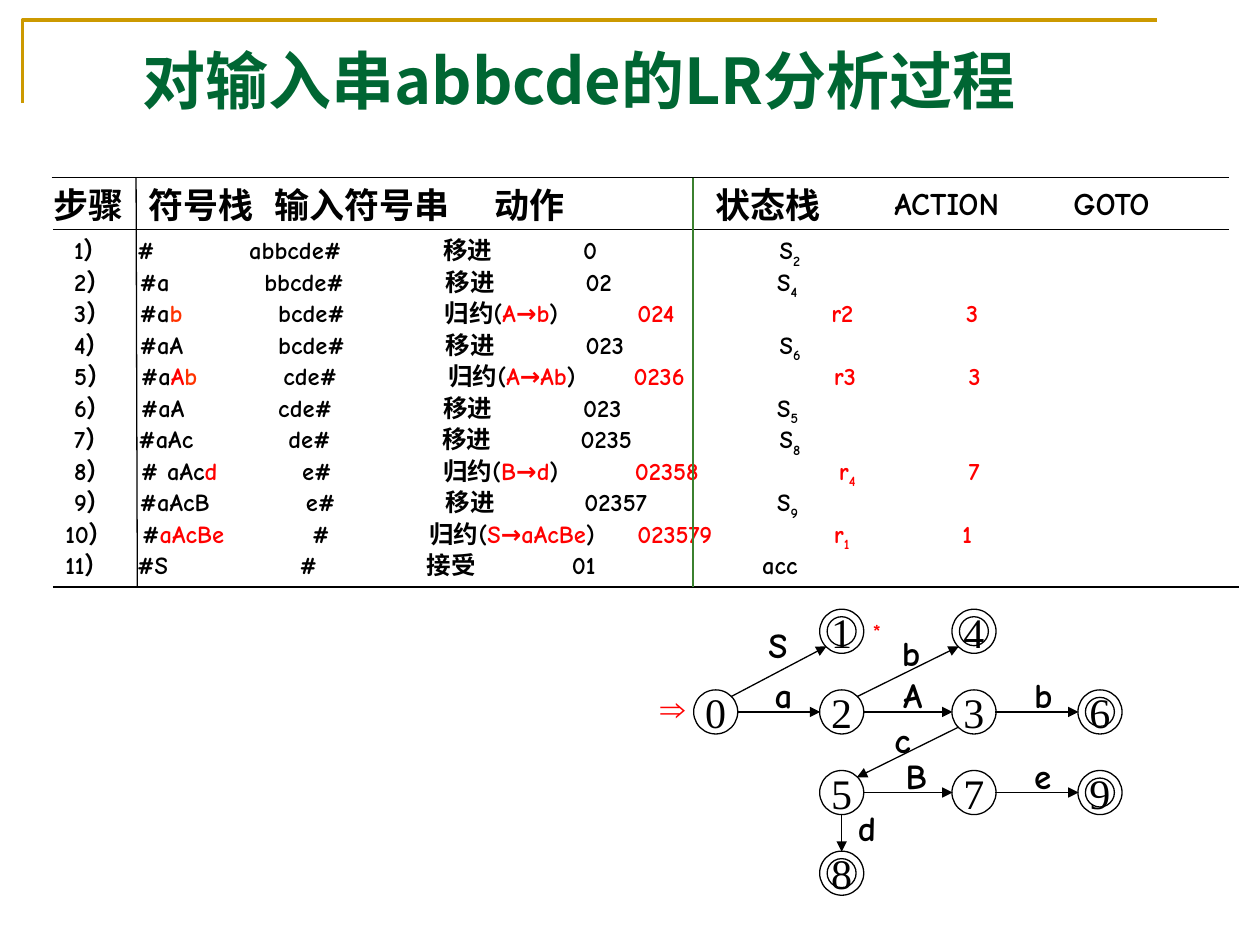
from lxml import etree
from pptx import Presentation
from pptx.dml.color import RGBColor
from pptx.enum.shapes import MSO_CONNECTOR, MSO_SHAPE
from pptx.enum.text import MSO_ANCHOR, MSO_AUTO_SIZE, PP_ALIGN
from pptx.oxml.ns import qn
from pptx.util import Inches, Pt

COLORS = {"black": "000000", "red": "FF0000", "orange": "FF3300",
          "title": "006633", "gold": "CC9900", "green": "3B812F"}
COMIC, TIMES, CJK = "Comic Neue", "Times New Roman", "Noto Sans CJK SC"


def write_runs(paragraph, runs, size, font, bold=True):
    """Write (text, colour[, "sub"]) runs into a paragraph."""
    for text, color, *subscript in runs:
        run = paragraph.add_run()
        run.text = text
        run.font.size = Pt(size)
        run.font.bold = bold
        run.font.color.rgb = RGBColor.from_string(COLORS[color])
        run.font.name = font
        properties = run._r.get_or_add_rPr()
        etree.SubElement(properties, qn("a:ea"), typeface=CJK)
        if subscript:
            properties.set("baseline", "-25000")


def add_line(shapes, start, end, color="black", arrow=False):
    line = shapes.add_connector(MSO_CONNECTOR.STRAIGHT, *map(Inches, start + end))
    line.line.color.rgb = RGBColor.from_string(COLORS[color])
    line.line.width = Pt(0.75)
    if arrow:
        etree.SubElement(line.line._get_or_add_ln(), qn("a:tailEnd"), type="triangle")
    etree.SubElement(line._element.spPr, qn("a:effectLst"))


presentation = Presentation()
presentation.slide_width, presentation.slide_height = Inches(10), Inches(7.5)
slide = presentation.slides.add_slide(presentation.slide_layouts[5])
shapes = slide.shapes

# Corner rule and title
builder = shapes.build_freeform(Inches(0.18), Inches(0.82))
builder.add_line_segments([(Inches(0.18), Inches(0.16)), (Inches(9.18), Inches(0.16))], close=False)
corner = builder.convert_to_shape()
corner.shadow.inherit = False
corner.fill.background()
corner.line.color.rgb = RGBColor.from_string(COLORS["gold"])
corner.line.width = Pt(2)

title = shapes.title
title.left, title.top, title.width, title.height = map(Inches, (1.03, 0.28, 7.92, 0.7))
title.text_frame.auto_size = MSO_AUTO_SIZE.NONE
title.text_frame.vertical_anchor = MSO_ANCHOR.TOP
title.text_frame.paragraphs[0].alignment = PP_ALIGN.LEFT
write_runs(title.text_frame.paragraphs[0], [("对输入串abbcde的LR分析过程", "title")], 36, CJK)

# Analysis steps: rules and headings
for start, end, color in [
    ((0.41, 1.41), (9.75, 1.41), "black"), ((0.42, 1.82), (9.75, 1.82), "black"),
    ((0.42, 4.66), (9.83, 4.66), "black"), ((1.08, 1.41), (1.09, 4.66), "black"),
]:
    add_line(shapes, start, end, color)

for text, left, width, size, font in [
    ("步骤", 0.33, 0.83, 20, TIMES), ("符号栈", 1.08, 1.17, 20, TIMES),
    ("输入符号串", 2.08, 1.67, 20, TIMES), ("动作", 3.83, 0.83, 20, TIMES),
    ("状态栈", 5.58, 1.17, 20, TIMES), ("ACTION", 7, 1.33, 18, COMIC),
    ("GOTO", 8.42, 1.17, 18, COMIC),
]:
    heading = shapes.add_textbox(Inches(left), Inches(1.41), Inches(width), Inches(0.44))
    heading.text_frame.word_wrap = True
    write_runs(heading.text_frame.paragraphs[0], [(text, "black")], size, font)

# Each step: column starts on the slide, then the runs with a tab before each column
STEPS = [
    ((1.09, 1.98, 3.52, 4.63, 6.19), [("\t#\tabbcde#\t移进\t0\tS", "black"), ("2", "black", "sub")]),
    ((1.11, 2.10, 3.54, 4.65, 6.17), [("\t#a\tbbcde#\t移进\t02\tS", "black"), ("4", "black", "sub")]),
    ((1.11, 2.21, 3.53, 5.06, 6.60, 7.67),
     [("\t#a", "black"), ("b", "orange"), ("\tbcde#\t归约(", "black"), ("A→b", "red"),
      (")", "black"), ("\t024\tr2\t3", "red")]),
    ((1.11, 2.21, 3.54, 4.65, 6.19), [("\t#aA\tbcde#\t移进\t023\tS", "black"), ("6", "black", "sub")]),
    ((1.12, 2.25, 3.56, 5.03, 6.62, 7.69),
     [("\t#a", "black"), ("A", "red"), ("b", "orange"), ("\tcde#\t归约(", "black"),
      ("A→Ab", "red"), (")", "black"), ("\t0236\tr3\t3", "red")]),
    ((1.12, 2.21, 3.52, 4.63, 6.17), [("\t#aA\tcde#\t移进\t023\tS", "black"), ("5", "black", "sub")]),
    ((1.10, 2.29, 3.51, 4.61, 6.19), [("\t#aAc\tde#\t移进\t0235\tS", "black"), ("8", "black", "sub")]),
    ((1.12, 2.40, 3.52, 5.04, 6.66, 7.69),
     [("\t# aAc", "black"), ("d", "red"), ("\te#\t归约(", "black"), ("B→d", "red"),
      (")", "black"), ("\t02358\tr", "red"), ("4", "red", "sub"), ("\t7", "red")]),
    ((1.11, 2.43, 3.54, 4.64, 6.17), [("\t#aAcB\te#\t移进\t02357\tS", "black"), ("9", "black", "sub")]),
    ((1.13, 2.48, 3.41, 5.06, 6.62, 7.64),
     [("\t#", "black"), ("aAcBe", "red"), ("\t#\t归约(", "black"), ("S→aAcBe", "red"),
      (")", "black"), ("\t023579\tr", "red"), ("1", "red", "sub"), ("\t1", "red")]),
    ((1.09, 2.38, 3.39, 4.54, 6.05), [("\t#S\t#\t接受\t01\tacc", "black")]),
]
ROW_LEFT, INSET = 0.42, 0.1
for number, (columns, runs) in enumerate(STEPS, start=1):
    row = shapes.add_textbox(Inches(ROW_LEFT), Inches(1.82 + 0.25 * (number - 1)),
                             Inches(9.33), Inches(0.37))
    row.text_frame.word_wrap = True
    paragraph = row.text_frame.paragraphs[0]
    tabs = etree.SubElement(paragraph._p.get_or_add_pPr(), qn("a:tabLst"))
    for column in columns:
        etree.SubElement(tabs, qn("a:tab"), pos=str(Inches(column - ROW_LEFT - INSET)), algn="l")
    write_runs(paragraph, [(f"{number:>2}）", "black")] + runs, 14, COMIC)

add_line(shapes, (5.5, 1.41), (5.5, 4.66), "green")

# State diagram
diagram = shapes.add_group_shape().shapes
COLUMN_X = [5.68, 6.68, 7.73, 8.73]
ROW_Y = [5.01, 5.65, 6.29, 6.93]
NODES = {"0": (0, 1), "1": (1, 0), "2": (1, 1), "3": (2, 1), "4": (2, 0),
         "5": (1, 2), "6": (3, 1), "7": (2, 2), "8": (1, 3), "9": (3, 2)}
FINAL_STATES = "14689"
centers = {name: (COLUMN_X[column], ROW_Y[row]) for name, (column, row) in NODES.items()}
for name, (x, y) in centers.items():
    for diameter in (0.35, 0.23) if name in FINAL_STATES else (0.35,):
        circle = diagram.add_shape(MSO_SHAPE.OVAL, Inches(x - diameter / 2),
                                   Inches(y - diameter / 2), Inches(diameter), Inches(diameter))
        circle.shadow.inherit = False
        circle.fill.background()
        circle.line.color.rgb = RGBColor.from_string(COLORS["black"])
        circle.line.width = Pt(0.75)
        if diameter == 0.35:
            frame = circle.text_frame
            frame.word_wrap = False
            frame.vertical_anchor = MSO_ANCHOR.MIDDLE
            frame.paragraphs[0].alignment = PP_ALIGN.CENTER
            write_runs(frame.paragraphs[0], [(name, "black")], 24, TIMES, bold=False)

for source, target in ["01", "02", "24", "23", "36", "35", "57", "79", "58"]:
    (x1, y1), (x2, y2) = centers[source], centers[target]
    step_x, step_y = (x2 > x1) - (x2 < x1), (y2 > y1) - (y2 < y1)
    reach = 0.12 if step_x and step_y else 0.17
    add_line(diagram, (x1 + reach * step_x, y1 + reach * step_y),
             (x2 - reach * step_x, y2 - reach * step_y), arrow=True)

for text, left, top, width, size, font, color in [
    ("S", 6, 4.9, 0.35, 20, COMIC, "black"), ("a", 6.05, 5.3, 0.34, 20, COMIC, "black"),
    ("b", 7.06, 4.96, 0.34, 20, COMIC, "black"), ("A", 7.07, 5.3, 0.35, 20, COMIC, "black"),
    ("b", 8.11, 5.3, 0.34, 20, COMIC, "black"), ("c", 7, 5.65, 0.33, 20, COMIC, "black"),
    ("B", 7.09, 5.94, 0.37, 20, COMIC, "black"), ("e", 8.11, 5.94, 0.33, 20, COMIC, "black"),
    ("d", 6.71, 6.35, 0.34, 20, COMIC, "black"), ("⇒", 5.14, 5.4, 0.42, 20, "Arial", "red"),
    ("*", 6.83, 4.86, 0.26, 12, COMIC, "red"),
]:
    label = diagram.add_textbox(Inches(left), Inches(top), Inches(width),
                                Inches(0.3 if size == 12 else 0.44))
    label.text_frame.word_wrap = False
    write_runs(label.text_frame.paragraphs[0], [(text, color)], size, font)

presentation.save("out.pptx")
